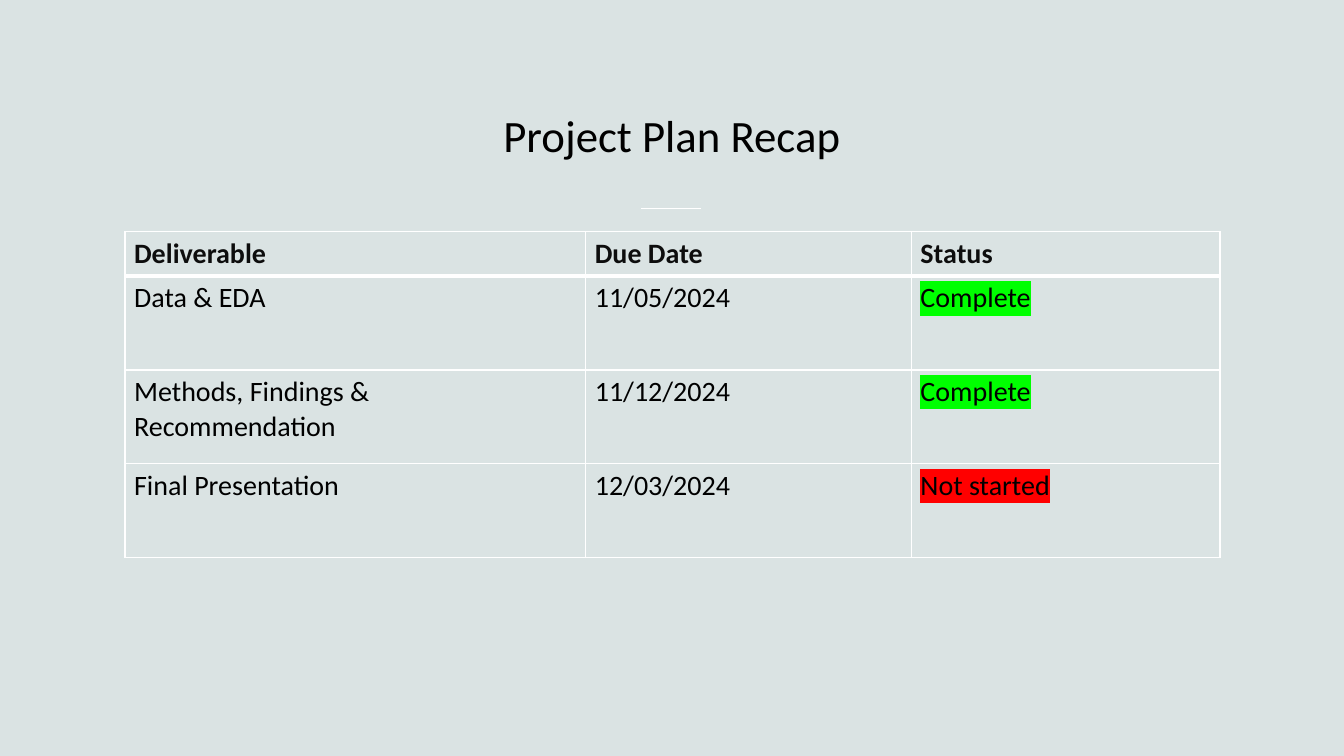
from dataclasses import dataclass

from lxml.etree import SubElement
from pptx import Presentation
from pptx.dml.color import RGBColor
from pptx.enum.shapes import MSO_CONNECTOR as Connector
from pptx.enum.text import MSO_ANCHOR as Anchor, PP_ALIGN as Align
from pptx.oxml.ns import qn
from pptx.util import Inches, Pt

BACKGROUND = RGBColor(0xDA, 0xE3, 0xE3)
WHITE = RGBColor(0xFF, 0xFF, 0xFF)
BLACK = RGBColor(0x00, 0x00, 0x00)
HEADER_TEXT = RGBColor(0x0D, 0x0D, 0x0D)
GREEN = RGBColor(0x00, 0xFF, 0x00)
RED = RGBColor(0xFF, 0x00, 0x00)
FONT = "Calibri"


@dataclass
class Deliverable:
    name: str
    due: str
    status: str


HEADINGS = ("Deliverable", "Due Date", "Status")
DELIVERABLES = [
    Deliverable("Data & EDA", "11/05/2024", "Complete"),
    Deliverable("Methods, Findings & Recommendation", "11/12/2024", "Complete"),
    Deliverable("Final Presentation", "12/03/2024", "Not started"),
]
STATUS_COLORS = {"Complete": GREEN, "Not started": RED}
COLUMN_WIDTHS = (4.57, 3.23, 3.06)
HEADER_HEIGHT, ROW_HEIGHT = 0.43, 0.93
THIN, THICK = 1, 3


def write(frame, text: str, *, size: float = 20, color: RGBColor = BLACK,
          bold: bool = False, align: Align = Align.LEFT,
          highlight: RGBColor | None = None) -> None:
    para = frame.paragraphs[0]
    para.alignment = align
    span = para.add_run()
    span.text = text
    font = span.font
    font.name, font.size, font.bold = FONT, Pt(size), bold
    font.color.rgb = color
    if highlight is not None:
        properties = span._r.get_or_add_rPr()
        mark = SubElement(properties, qn("a:highlight"))
        SubElement(mark, qn("a:srgbClr"), val=str(highlight))
        properties.find(qn("a:solidFill")).addnext(mark)


def draw_borders(cell, *, top: float, bottom: float) -> None:
    """Outline a cell in white, with top and bottom widths in points."""
    properties = cell._tc.get_or_add_tcPr()
    for side, width in (("L", THIN), ("R", THIN), ("T", top), ("B", bottom)):
        line = SubElement(properties, qn(f"a:ln{side}"), w=str(Pt(width)))
        fill = SubElement(line, qn("a:solidFill"))
        SubElement(fill, qn("a:srgbClr"), val=str(WHITE))


def add_title(slide) -> None:
    title = slide.shapes.title
    title.left, title.top = Inches(1.08), Inches(0.43)
    title.width, title.height = Inches(11.17), Inches(1.22)
    title.text_frame.vertical_anchor = Anchor.BOTTOM
    write(title.text_frame, "Project Plan Recap", size=32, align=Align.CENTER)


def add_divider(slide) -> None:
    divider = slide.shapes.add_connector(
        Connector.STRAIGHT, Inches(6.36), Inches(2.07), Inches(6.95), Inches(2.07))
    divider.line.color.rgb = WHITE
    divider.line.width = Pt(THIN)
    SubElement(divider._element.spPr, qn("a:effectLst"))


def add_plan(slide) -> None:
    rows = [HEADINGS] + [(d.name, d.due, d.status) for d in DELIVERABLES]
    heights = [HEADER_HEIGHT] + [ROW_HEIGHT] * len(DELIVERABLES)
    table = slide.shapes.add_table(
        len(rows), len(HEADINGS), Inches(1.24), Inches(2.3),
        Inches(sum(COLUMN_WIDTHS)), Inches(sum(heights))).table
    table.horz_banding = False
    for column, width in zip(table.columns, COLUMN_WIDTHS):
        column.width = Inches(width)
    for index, (row, height, texts) in enumerate(zip(table.rows, heights, rows)):
        row.height = Inches(height)
        header = index == 0
        for cell, text in zip(row.cells, texts):
            cell.margin_left = cell.margin_right = Inches(0.09)
            cell.margin_top = cell.margin_bottom = Inches(0.05)
            draw_borders(cell, top=THICK if index == 1 else THIN,
                         bottom=THICK if header else THIN)
            cell.fill.background()
            write(cell.text_frame, text, bold=header,
                  color=HEADER_TEXT if header else BLACK,
                  highlight=STATUS_COLORS.get(text))


def main() -> None:
    deck = Presentation()
    deck.slide_width, deck.slide_height = Inches(13.33), Inches(7.5)
    title_only = deck.slide_layouts.get_by_name("Title Only")
    page = deck.slides.add_slide(title_only)
    page.background.fill.solid()
    page.background.fill.fore_color.rgb = BACKGROUND
    add_title(page)
    add_divider(page)
    add_plan(page)
    deck.save("out.pptx")


if __name__ == "__main__":
    main()
